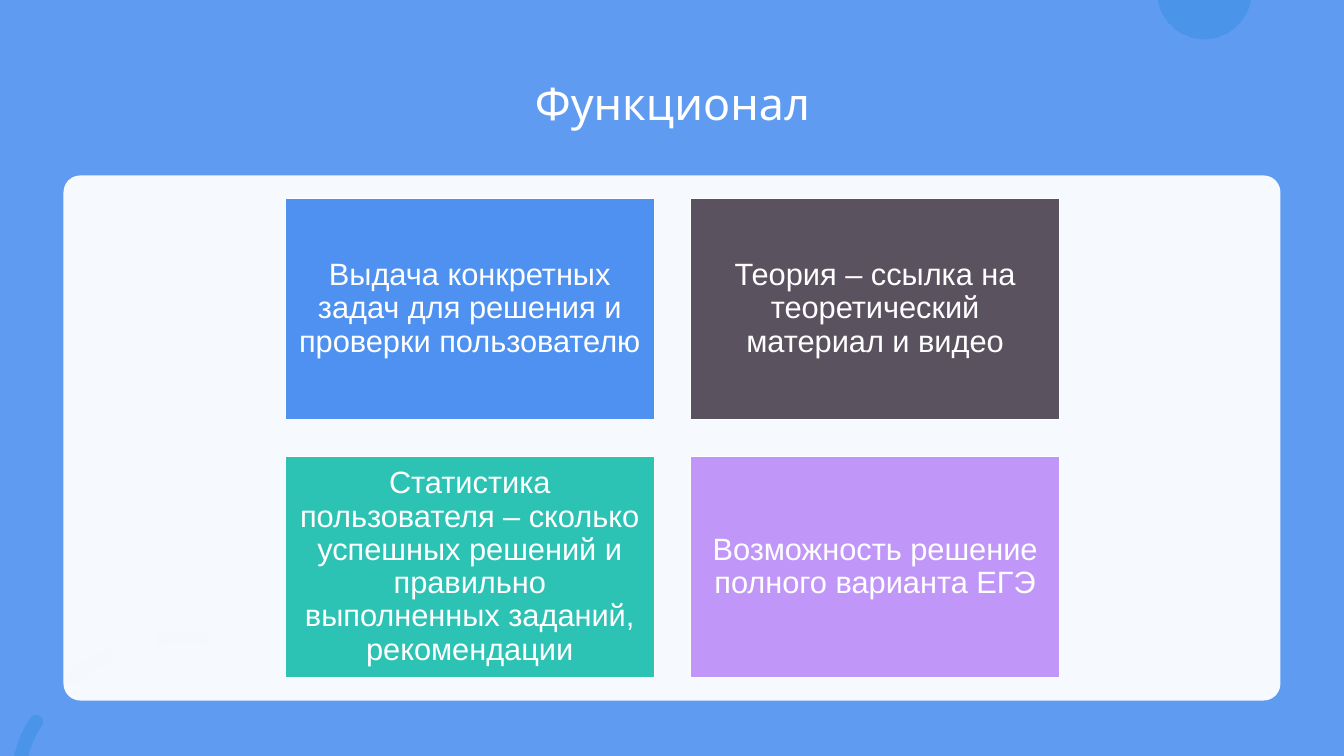
from math import asin, cos, pi, sin

from lxml.etree import SubElement
from pptx import Presentation
from pptx.dml.color import RGBColor
from pptx.enum.shapes import MSO_SHAPE
from pptx.enum.text import MSO_ANCHOR, PP_ALIGN
from pptx.oxml.ns import qn
from pptx.util import Inches, Pt

WHITE = RGBColor(0xFF, 0xFF, 0xFF)
BLUE = RGBColor(0x4E, 0x91, 0xF0)
TEAL = RGBColor(0x2C, 0xC3, 0xB4)
PLUM = RGBColor(0x5B, 0x52, 0x60)
LILAC = RGBColor(0xC0, 0x97, 0xF8)

CARD_LEFT, CARD_TOP = 2.83, 1.97
CARD_WIDTH, CARD_HEIGHT = 3.66, 2.19
COLUMN_STEP, ROW_STEP = 4.02, 2.56
COLUMNS = 2
features = [
    ("Выдача конкретных задач для решения и проверки пользователю", BLUE),
    ("Теория – ссылка на теоретический материал и видео", PLUM),
    ("Статистика пользователя – сколько успешных решений и правильно "
     "выполненных заданий, рекомендации", TEAL),
    ("Возможность решение полного варианта ЕГЭ", LILAC),
]


def add_block(kind, left, top, width, height, color, opacity=100):
    block = slide.shapes.add_shape(
        kind, Inches(left), Inches(top), Inches(width), Inches(height))
    block.shadow.inherit = False
    block.fill.solid()
    block.fill.fore_color.rgb = color
    block.line.fill.background()
    if opacity < 100:
        srgb = block.fill._xPr.find(qn("a:solidFill")).find(qn("a:srgbClr"))
        SubElement(srgb, qn("a:alpha")).set("val", str(opacity * 1000))
    return block


def set_text(frame, wording, font_format):
    frame.text = wording
    frame.word_wrap = True
    frame.vertical_anchor = MSO_ANCHOR.MIDDLE
    paragraph = frame.paragraphs[0]
    paragraph.alignment = PP_ALIGN.CENTER
    paragraph.line_spacing = 0.9
    font = paragraph.runs[0].font
    font.color.rgb = WHITE
    for attribute, value in font_format.items():
        setattr(font, attribute, value)


prs = Presentation()
prs.slide_width, prs.slide_height = Inches(13.33), Inches(7.5)
slide = prs.slides.add_slide(prs.slide_layouts[5])

# Lower part of a circle cut by the top edge, in hundredths of an inch
center_x, center_y, radius = 1194.5, -8, 47
start_angle = asin(-center_y / radius)
STEPS = 36
arc = [(center_x + radius * cos(angle), center_y + radius * sin(angle))
       for angle in (start_angle + (pi - 2 * start_angle) * step / STEPS
                     for step in range(STEPS + 1))]
builder = slide.shapes.build_freeform(*arc[0], scale=Inches(0.01))
builder.add_line_segments(arc[1:], close=True)
half_disc = builder.convert_to_shape()
half_disc.shadow.inherit = False
half_disc.fill.solid()
half_disc.fill.fore_color.rgb = TEAL
half_disc.line.fill.background()

# Dashed ring in the lower left corner
dashes = [
    [(21, 750), (26, 734), (31, 724), (36, 716)],
    [(71, 673), (88, 660), (105, 650)],
    [(159, 634), (179, 632), (201, 634)],
]
builder = slide.shapes.build_freeform(*dashes[0][0], scale=Inches(0.01))
builder.add_line_segments(dashes[0][1:], close=False)
for dash in dashes[1:]:
    builder.move_to(*dash[0])
    builder.add_line_segments(dash[1:], close=False)
ring = builder.convert_to_shape()
ring.shadow.inherit = False
ring.fill.background()
ring.line.color.rgb = TEAL
ring.line.width = Pt(10)
ring.line._get_or_add_ln().set("cap", "rnd")

add_block(MSO_SHAPE.RECTANGLE, 0, 0, 13.33, 7.5, BLUE, opacity=90)

title = slide.shapes.title
title.left, title.top = Inches(0.92), Inches(0.5)
title.width, title.height = Inches(11.5), Inches(1.1)
set_text(title.text_frame, "Функционал", {"size": Pt(32), "name": "Quicksand"})
slide.shapes._spTree.append(title._element)  # bring above the blue layer

panel = add_block(MSO_SHAPE.ROUNDED_RECTANGLE, 0.63, 1.74, 12.07, 5.21, WHITE, opacity=95)
panel.adjustments[0] = 0.032

for index, (wording, color) in enumerate(features):
    row, column = divmod(index, COLUMNS)
    card = add_block(MSO_SHAPE.RECTANGLE,
                     CARD_LEFT + column * COLUMN_STEP, CARD_TOP + row * ROW_STEP,
                     CARD_WIDTH, CARD_HEIGHT, color)
    card.line.color.rgb = WHITE
    card.line.width = Pt(1)
    for side in ("left", "top", "right", "bottom"):
        setattr(card.text_frame, f"margin_{side}", Inches(0.09))
    set_text(card.text_frame, wording, {"size": Pt(22), "name": "Arial"})

prs.save("out.pptx")
